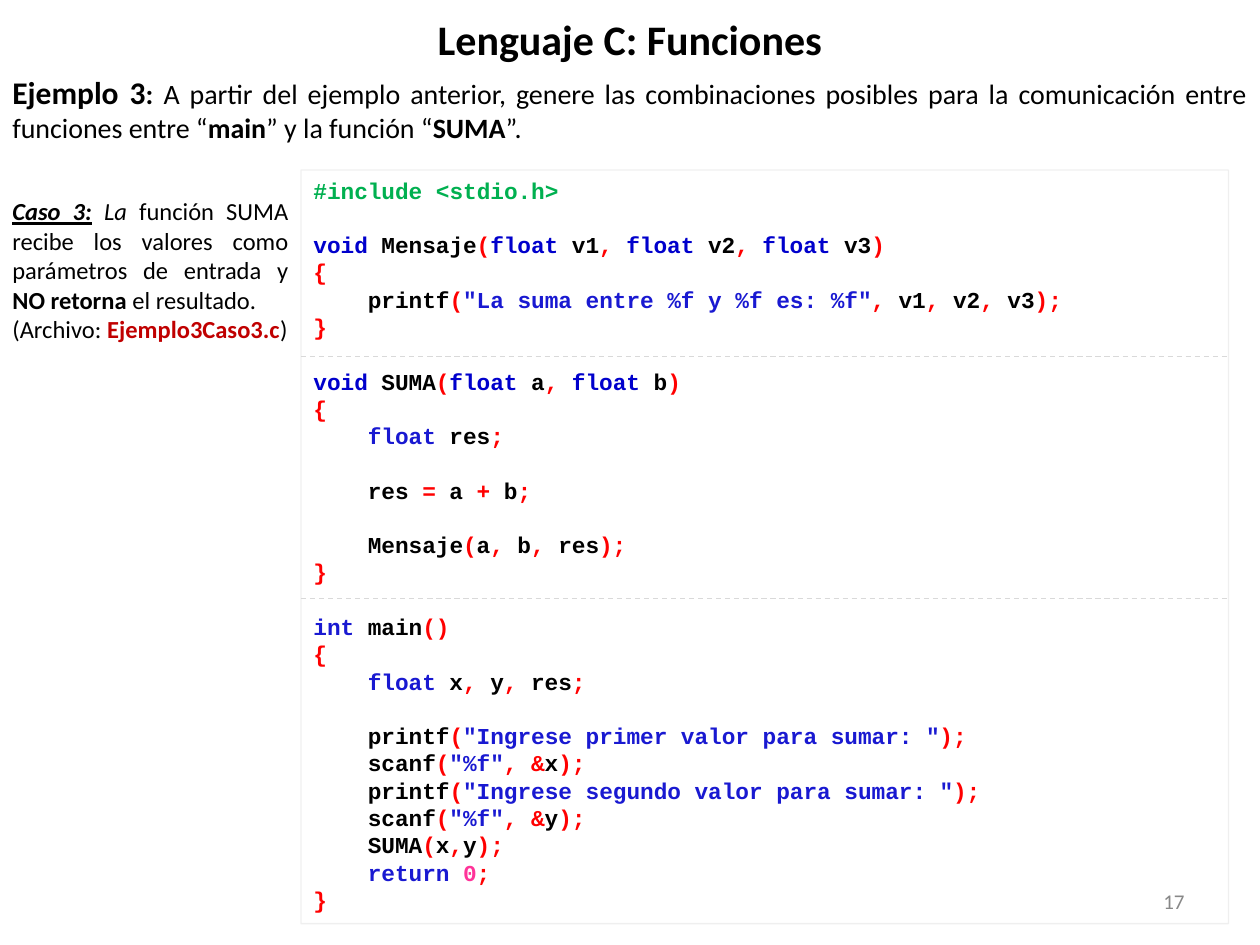
from itertools import groupby

from lxml.etree import SubElement
from pptx import Presentation
from pptx.dml.color import RGBColor
from pptx.enum.dml import MSO_LINE
from pptx.enum.shapes import MSO_CONNECTOR, MSO_SHAPE
from pptx.enum.text import MSO_ANCHOR, PP_ALIGN
from pptx.oxml.ns import qn
from pptx.util import Pt

BLACK, RED, GRAY = "000000", "FF0000", "D9D9D9"
LINE_HEIGHT = 15.6
KEYWORDS = {"void", "float", "int", "return"}
CODE = '''#include <stdio.h>

void Mensaje(float v1, float v2, float v3)
{
    printf("La suma entre %f y %f es: %f", v1, v2, v3);
}

void SUMA(float a, float b)
{
    float res;

    res = a + b;

    Mensaje(a, b, res);
}

int main()
{
    float x, y, res;

    printf("Ingrese primer valor para sumar: ");
    scanf("%f", &x);
    printf("Ingrese segundo valor para sumar: ");
    scanf("%f", &y);
    SUMA(x,y);
    return 0;
}'''


def rgb(color):
    return RGBColor.from_string(color)


def tokens(line):
    if line.startswith("#"):
        return [(line, "00B050")]
    keyword_color = "0000CC" if line.startswith("void") else "1919D1"
    result = []
    for index, piece in enumerate(line.split('"')):
        if index % 2:
            result.append((f'"{piece}"', "1919D1"))
            continue
        for is_word, group in groupby(piece, lambda char: char.isalnum() or char == " "):
            text = "".join(group)
            if not is_word:
                result.append((text, RED))
                continue
            for is_space, letters in groupby(text, str.isspace):
                word = "".join(letters)
                color = keyword_color if word in KEYWORDS else "FF3399" if word == "0" else BLACK
                result.append((word, color))
    return result


deck = Presentation()
deck.slide_width, deck.slide_height = Pt(720), Pt(540)
page = deck.slides.add_slide(deck.slide_layouts[6])

texts = [
    ((516.5, 500.5, 167.5, 28.75), MSO_ANCHOR.MIDDLE, PP_ALIGN.RIGHT, 12, "888888",
     [[("17", {})]]),
    ((36, 0, 648, 44.64), MSO_ANCHOR.MIDDLE, PP_ALIGN.CENTER, 24, BLACK,
     [[("Lenguaje C: Funciones", {"bold": True})]]),
    ((0, 108.7, 172, 108.7), MSO_ANCHOR.TOP, PP_ALIGN.JUSTIFY, 14, BLACK,
     [[("Caso 3:", {"bold": True, "italic": True, "underline": True}),
       (" ", {"bold": True, "italic": True}),
       ("La ", {"italic": True}),
       ("función SUMA recibe los valores como parámetros de entrada y ", {}),
       ("NO retorna ", {"bold": True}),
       ("el resultado.", {})],
      [("(Archivo: ", {}),
       ("Ejemplo3Caso3.c", {"bold": True, "color": "C00000"}),
       (")", {})]]),
    ((0, 38.2, 720, 48.2), MSO_ANCHOR.TOP, PP_ALIGN.JUSTIFY, 16, BLACK,
     [[("Ejemplo 3", {"bold": True, "size": Pt(18)}),
       (": ", {"bold": True}),
       ("A partir del ejemplo anterior, genere las combinaciones posibles "
        "para la comunicación entre funciones entre “", {}),
       ("main", {"bold": True}),
       ("” y la función “", {}),
       ("SUMA", {"bold": True}),
       ("”.", {})]]),
]
for place, anchor, alignment, size, color, paragraphs in texts:
    box = page.shapes.add_textbox(*map(Pt, place))
    frame = box.text_frame
    frame.word_wrap = True
    frame.vertical_anchor = anchor
    for index, spans in enumerate(paragraphs):
        para = frame.add_paragraph() if index else frame.paragraphs[0]
        para.alignment = alignment
        para.font.name = "Calibri"
        para.font.size = Pt(size)
        para.font.color.rgb = rgb(color)
        for text, style in spans:
            span = para.add_run()
            span.text = text
            span.font.name = "Calibri"
            span.font.size = style.get("size", Pt(size))
            span.font.bold = style.get("bold", False)
            span.font.italic = style.get("italic", False)
            span.font.underline = style.get("underline", False)
            span.font.color.rgb = rgb(style.get("color", color))

code_box = page.shapes.add_shape(MSO_SHAPE.RECTANGLE, Pt(172), Pt(97.2), Pt(530), Pt(430.6))
code_box.shadow.inherit = False
code_box.fill.background()
code_box.line.color.rgb = rgb(GRAY)
code_box.line.width = Pt(0.75)
line_color = code_box.line.fill._xPr.find(".//" + qn("a:srgbClr"))
SubElement(line_color, qn("a:alpha"), val="40000")

frame = code_box.text_frame
frame.word_wrap = True
frame.vertical_anchor = MSO_ANCHOR.TOP
para = frame.paragraphs[0]
gap = 0
for index, line in enumerate(CODE.splitlines()):
    if not line:
        gap = LINE_HEIGHT
        continue
    if index:
        para = frame.add_paragraph()
    para.alignment = PP_ALIGN.LEFT
    para.line_spacing = Pt(LINE_HEIGHT)
    para.space_before = Pt(gap)
    para.font.name = "Courier New"
    para.font.size = Pt(13)
    para.font.bold = True
    for text, color in tokens(line):
        span = para.add_run()
        span.text = text
        span.font.color.rgb = rgb(color)
    gap = 0

for top in (342, 203.8):
    divider = page.shapes.add_connector(MSO_CONNECTOR.STRAIGHT, Pt(172), Pt(top), Pt(702), Pt(top))
    divider.line.color.rgb = rgb(GRAY)
    divider.line.width = Pt(0.75)
    divider.line.dash_style = MSO_LINE.DASH
    SubElement(divider._element.spPr, qn("a:effectLst"))

deck.save("out.pptx")
